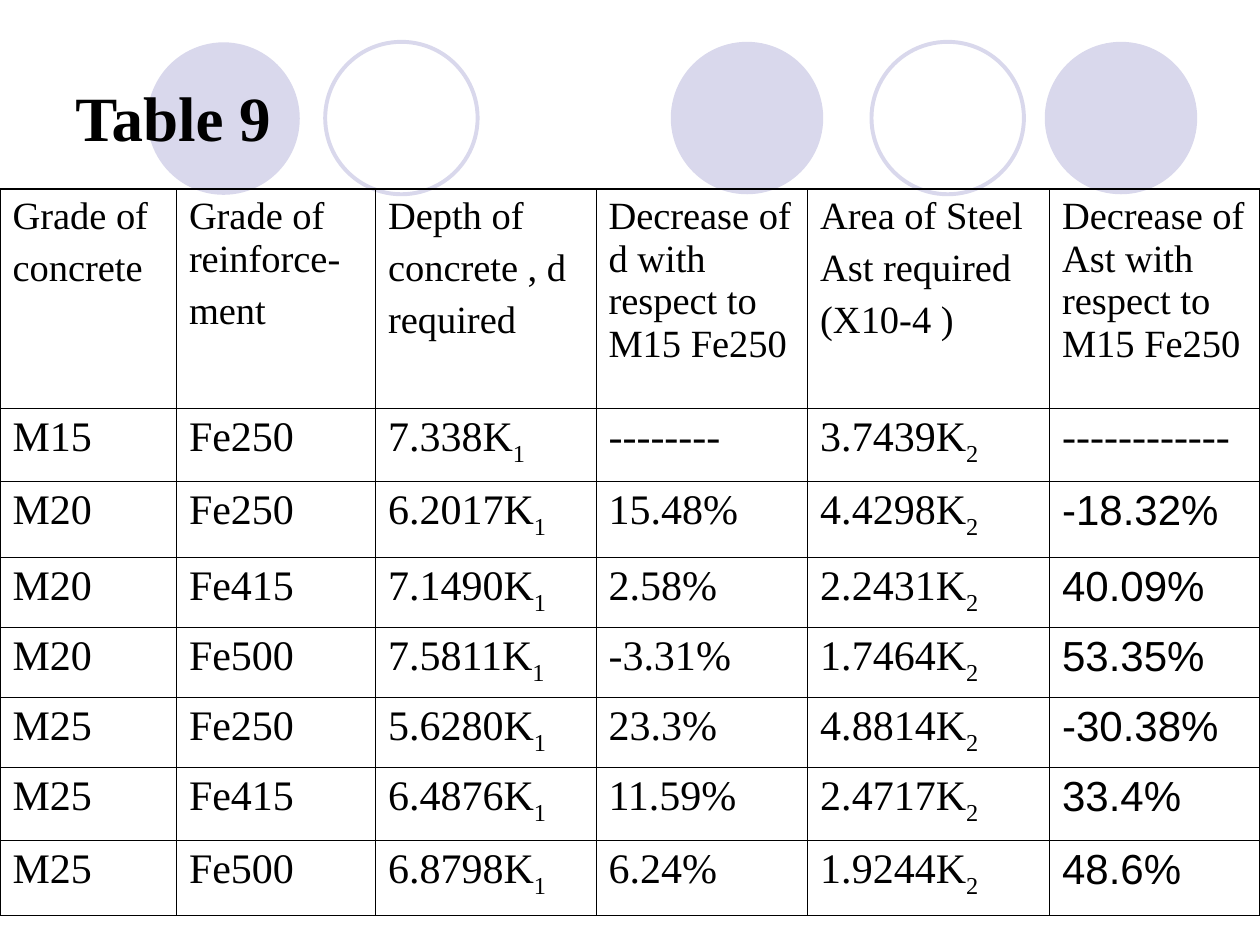
from lxml import etree
from pptx import Presentation
from pptx.dml.color import RGBColor
from pptx.enum.shapes import MSO_SHAPE
from pptx.enum.text import MSO_ANCHOR
from pptx.oxml.ns import qn
from pptx.util import Pt

OVAL = MSO_SHAPE.OVAL
MIDDLE = MSO_ANCHOR.MIDDLE
BLACK = RGBColor(0, 0, 0)
LILAC = RGBColor(0xD9, 0xD8, 0xEC)
SERIF, SANS = "Times New Roman", "Arial"
THIN, THICK = 0.45, 1.08

TITLE = "Table 9"
HEADS = [
    ["Grade of", "concrete"],
    ["Grade of reinforce-", "ment"],
    ["Depth of", "concrete , d", "required"],
    ["Decrease of d with respect to M15 Fe250"],
    ["Area of Steel", "Ast required", "(X10-4 )"],
    ["Decrease of Ast with respect to M15 Fe250"],
]
ROWS = [
    ("M15", "Fe250", "7.338K", "--------", "3.7439K", "------------"),
    ("M20", "Fe250", "6.2017K", "15.48%", "4.4298K", "-18.32%"),
    ("M20", "Fe415", "7.1490K", "2.58%", "2.2431K", "40.09%"),
    ("M20", "Fe500", "7.5811K", "-3.31%", "1.7464K", "53.35%"),
    ("M25", "Fe250", "5.6280K", "23.3%", "4.8814K", "-30.38%"),
    ("M25", "Fe415", "6.4876K", "11.59%", "2.4717K", "33.4%"),
    ("M25", "Fe500", "6.8798K", "6.24%", "1.9244K", "48.6%"),
]
SUBS = {2: "1", 4: "2"}  # subscript of K in each column
WIDTHS = [100.8, 113.76, 126, 120.96, 138.24, 120.24]
HEIGHTS = [125.28, 41.76, 43.2, 39.6, 39.6, 39.6, 41.76, 43.2]

# left, top, filled
DISCS = [
    (383.3, 23.9, True),
    (597, 23.9, True),
    (84.2, 24.2, True),
    (498, 23.9, False),
    (185.8, 23.9, False),
]
SIZE = 87.1


def add_disc(slide, left, top, full):
    disc = slide.shapes.add_shape(OVAL, Pt(left), Pt(top), Pt(SIZE), Pt(SIZE))
    disc.shadow.inherit = False
    if full:
        disc.fill.solid()
        disc.fill.fore_color.rgb = LILAC
        disc.line.fill.background()
    else:
        disc.fill.background()
        disc.line.color.rgb = LILAC
        disc.line.width = Pt(2.25)


def set_font(para, size, name=SERIF, bold=False):
    font = para.font
    font.size, font.name, font.bold = Pt(size), name, bold
    font.color.rgb = BLACK


def add_title(slide):
    box = slide.shapes.add_textbox(Pt(36), Pt(21.6), Pt(648), Pt(90))
    frame = box.text_frame
    frame.word_wrap = True
    frame.vertical_anchor = MIDDLE
    frame.text = TITLE
    set_font(frame.paragraphs[0], 36, bold=True)


def set_edges(cell, row, col):
    """Thick lines around the table, thin ones within."""
    outer = {
        "a:lnL": col == 0,
        "a:lnR": col == len(WIDTHS) - 1,
        "a:lnT": row == 0,
        "a:lnB": row == len(HEIGHTS) - 1,
    }
    props = cell._tc.get_or_add_tcPr()
    for tag, edge in outer.items():
        width = Pt(THICK if edge else THIN)
        line = etree.SubElement(props, qn(tag), w=str(int(width)))
        fill = etree.SubElement(line, qn("a:solidFill"))
        etree.SubElement(fill, qn("a:srgbClr"), val=str(BLACK))


def fill_cell(cell, row, col, lines):
    set_edges(cell, row, col)
    cell.fill.background()
    frame = cell.text_frame
    frame.text = "\n".join(lines)
    sans = row > 1 and col == len(WIDTHS) - 1
    for i, para in enumerate(frame.paragraphs):
        if i:
            para.space_before = Pt(5.5)
        set_font(para, 24 if row else 22, SANS if sans else SERIF)
    if row and col in SUBS:
        sub = frame.paragraphs[0].add_run()
        sub.text = SUBS[col]
        sub._r.get_or_add_rPr().set("baseline", "-25000")


def add_grid(slide):
    grid = slide.shapes.add_table(
        len(HEIGHTS), len(WIDTHS), 0, Pt(108), Pt(sum(WIDTHS)), Pt(sum(HEIGHTS))
    ).table
    grid.first_row = grid.horz_banding = False
    for col, width in zip(grid.columns, WIDTHS):
        col.width = Pt(width)
    for row, height in zip(grid.rows, HEIGHTS):
        row.height = Pt(height)
    body = [[[text] for text in row] for row in ROWS]
    for r, row in enumerate([HEADS] + body):
        for c, lines in enumerate(row):
            fill_cell(grid.cell(r, c), r, c, lines)


def main():
    deck = Presentation()
    deck.slide_width, deck.slide_height = Pt(720), Pt(540)
    slide = deck.slides.add_slide(deck.slide_layouts[6])
    for disc in DISCS:
        add_disc(slide, *disc)
    add_title(slide)
    add_grid(slide)
    deck.save("out.pptx")


if __name__ == "__main__":
    main()
